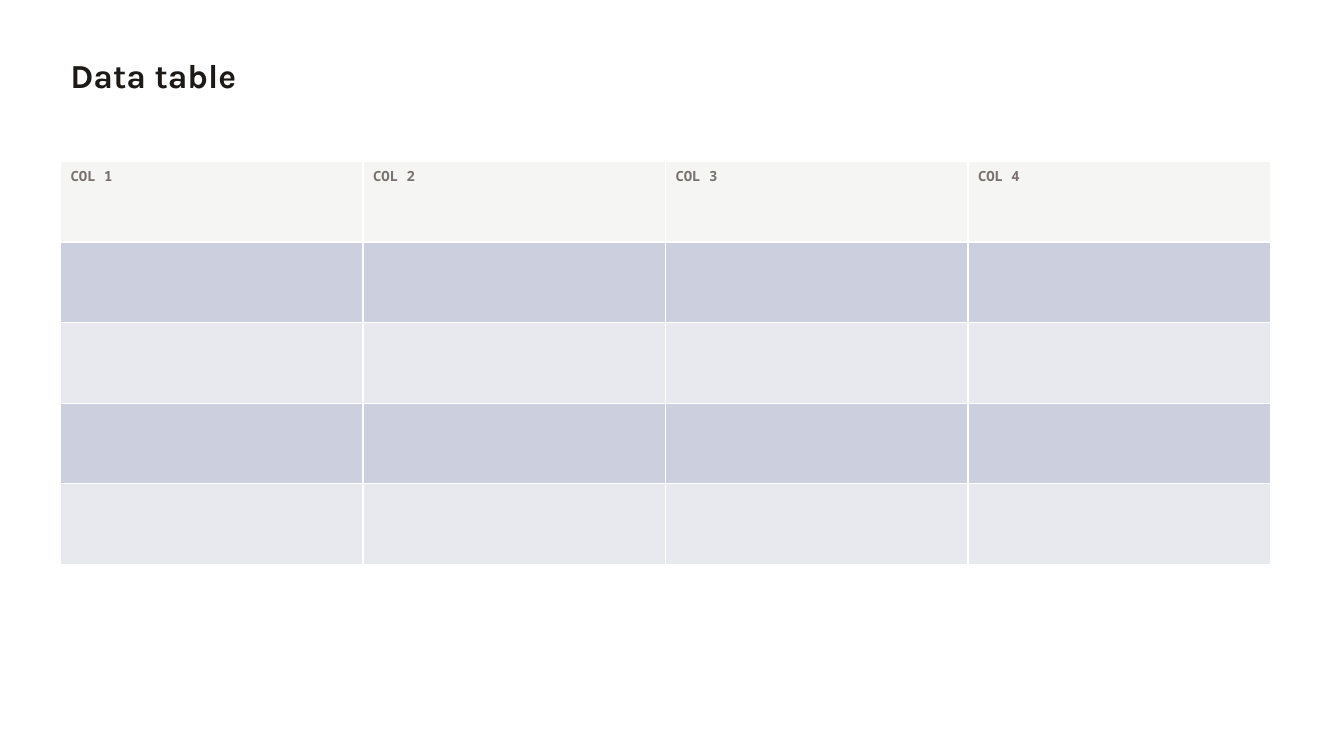
import pptx
import pptx.dml.color
import pptx.util

Inches = pptx.util.Inches
RGBColor = pptx.dml.color.RGBColor

TITLE_INK = RGBColor(0x1C, 0x19, 0x17)
HEADER_INK = RGBColor(0x78, 0x71, 0x6C)
HEADER_FILL = RGBColor(0xF5, 0xF5, 0xF4)
BAND_FILLS = (RGBColor(0xCC, 0xD0, 0xDE), RGBColor(0xE8, 0xE9, 0xEF))

HEADINGS = ("COL 1", "COL 2", "COL 3", "COL 4")
BODY_ROWS = 4


def style_text(frame, font_name, size, color):
    """Format every run of a text frame in bold."""
    for para in frame.paragraphs:
        for span in para.runs:
            span.font.name = font_name
            span.font.size = pptx.util.Pt(size)
            span.font.bold = True
            span.font.color.rgb = color


def add_title(page, left, top, width, height):
    """Place the slide title in the given box."""
    box = page.shapes.add_textbox(
        Inches(left), Inches(top), Inches(width), Inches(height))
    box.text_frame.word_wrap = True
    box.text_frame.text = "Data table"
    style_text(box.text_frame, "Karla", 24, TITLE_INK)


def add_data_table(page, left, top, width, height):
    """Place the table with a header row and banded empty rows."""
    table = page.shapes.add_table(
        BODY_ROWS + 1, len(HEADINGS),
        Inches(left), Inches(top), Inches(width), Inches(height)).table
    for row_index, row in enumerate(table.rows):
        fill = BAND_FILLS[(row_index - 1) % 2] if row_index else HEADER_FILL
        for cell in row.cells:
            cell.fill.solid()
            cell.fill.fore_color.rgb = fill
    for cell, heading in zip(table.rows[0].cells, HEADINGS):
        cell.text_frame.text = heading
        style_text(cell.text_frame, "Noto Sans Mono", 10, HEADER_INK)


def main():
    """Build and save the deck."""
    deck = pptx.Presentation()
    deck.slide_width = Inches(13.33)
    deck.slide_height = Inches(7.5)
    page = deck.slides.add_slide(deck.slide_layouts[6])
    add_title(page, 0.6, 0.5, 12, 0.8)
    add_data_table(page, 0.6, 1.6, 12, 4)
    deck.save("out.pptx")


if __name__ == "__main__":
    main()
